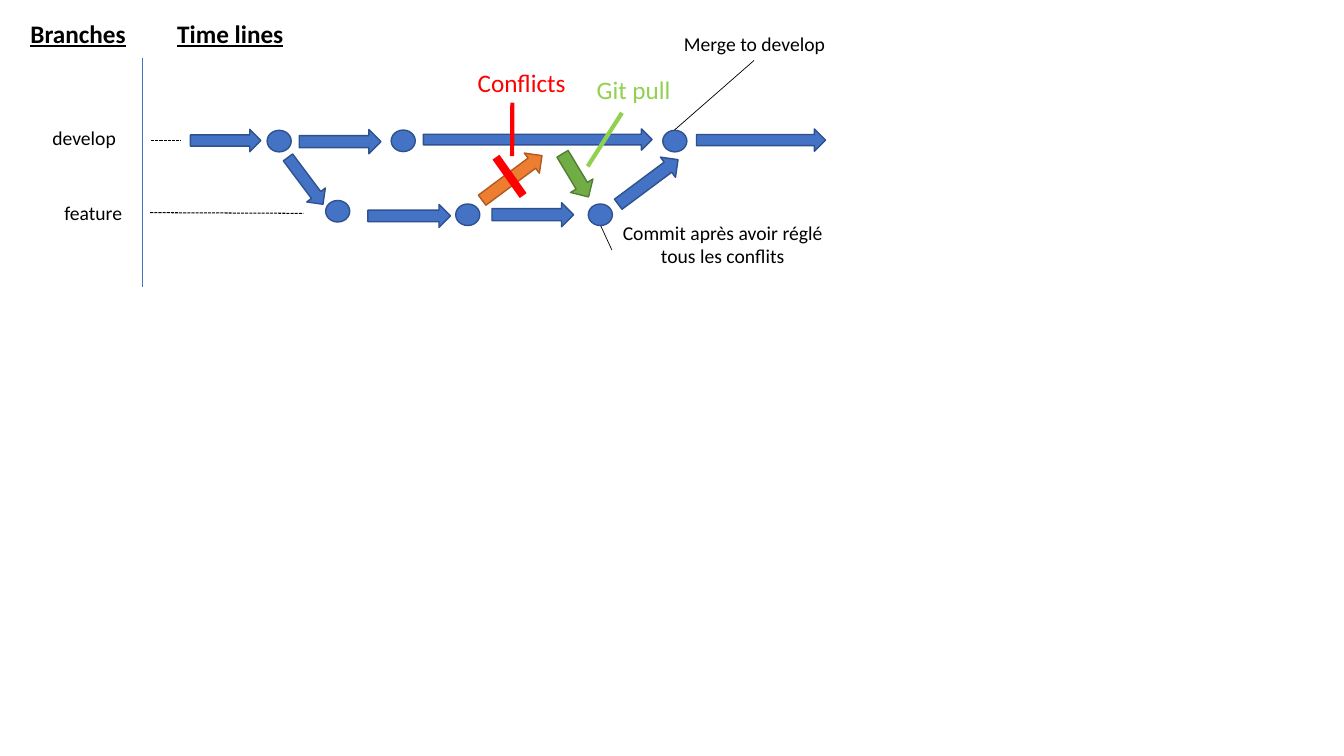
from lxml import etree
from pptx import Presentation
from pptx.dml.color import RGBColor
from pptx.enum.dml import MSO_LINE
from pptx.enum.shapes import MSO_CONNECTOR, MSO_SHAPE
from pptx.enum.text import PP_ALIGN
from pptx.oxml.ns import qn
from pptx.util import Pt

ARROW, OVAL = MSO_SHAPE.RIGHT_ARROW, MSO_SHAPE.OVAL
STRAIGHT = MSO_CONNECTOR.STRAIGHT
DASH = MSO_LINE.SQUARE_DOT
LEFT, CENTER = PP_ALIGN.LEFT, PP_ALIGN.CENTER

BLACK = RGBColor(0x00, 0x00, 0x00)
BLUE = RGBColor(0x44, 0x72, 0xC4)
NAVY = RGBColor(0x2F, 0x52, 0x8F)
ORANGE = RGBColor(0xED, 0x7D, 0x31)
BROWN = RGBColor(0xAE, 0x5A, 0x21)
GREEN = RGBColor(0x70, 0xAD, 0x47)
DARK_GREEN = RGBColor(0x50, 0x7E, 0x32)
RED = RGBColor(0xFF, 0x00, 0x00)
LIME = RGBColor(0x92, 0xD0, 0x50)

FEATURE_LANE = 53.4


def add_text(s, text, x, y, w, h, size=14, color=BLACK, align=CENTER, heading=False):
    tf = s.shapes.add_textbox(Pt(x), Pt(y), Pt(w), Pt(h)).text_frame
    tf.word_wrap = True
    p = tf.paragraphs[0]
    p.text = text
    p.alignment = align
    p.font.name = "Calibri"
    p.font.size = Pt(size)
    p.font.color.rgb = color
    if heading:
        p.font.bold = True
        p.font.underline = True


def add_line(s, x1, y1, x2, y2, color=BLACK, width=0.5, dash=None):
    line = s.shapes.add_connector(STRAIGHT, Pt(x1), Pt(y1), Pt(x2), Pt(y2))
    line.line.color.rgb = color
    line.line.width = Pt(width)
    if dash:
        line.line.dash_style = dash
    etree.SubElement(line._element.spPr, qn("a:effectLst"))


def add_centered(s, kind, cx, cy, w, h, angle=0, fill=BLUE, outline=NAVY):
    sp = s.shapes.add_shape(kind, Pt(cx - w / 2), Pt(cy - h / 2), Pt(w), Pt(h))
    sp.rotation = angle
    sp.shadow.inherit = False
    sp.fill.solid()
    sp.fill.fore_color.rgb = fill
    sp.line.color.rgb = outline
    sp.line.width = Pt(1)


def draw_branches(s, x, y):
    for heading, dx in (("Branches", 0), ("Time lines", 108.7)):
        add_text(s, heading, x + dx, y, 111.6, 28.8, size=18, heading=True)
    for branch, dx, dy in (("develop", 4.3, 77), ("feature", 10.8, 130.3)):
        add_text(s, branch, x + dx, y + dy, 111.6, 24.5)
    add_line(s, x + 101.5, y + 32.4, x + 101.5, y + 195.8, color=BLUE)
    add_line(s, x + 108, y + 90.7, x + 129.6, y + 90.7, width=0.75, dash=DASH)
    add_line(s, x + 107.3, y + 142.5, x + 216.7, y + 143, width=0.75, dash=DASH)


def draw_timelines(s, x, y):
    lane_arrows = (
        (0, 50.4, 0.4, 16),
        (77.8, 58.3, 1.2, 17.3),
        (166.4, 163.4, -0.3, 15.2),
        (361.5, 92.2, 0.1, 16),
        (126.8, 59, FEATURE_LANE + 0.9, 16.5),
        (215.4, 58.3, FEATURE_LANE, 17.3),
    )
    for dx, w, dy, h in lane_arrows:
        add_centered(s, ARROW, x + dx + w / 2, y + dy, w, h)

    diagonal_arrows = (
        (82.2, 29.2, 41.8, 16.6, 53.2, BLUE, NAVY),
        (327, 30, 53.3, 18, 323.3, BLUE, NAVY),
        (229.8, 27.1, 53.3, 18, 323.3, ORANGE, BROWN),
        (275.1, 25.3, 36, 18.7, 59, GREEN, DARK_GREEN),
    )
    for dx, dy, w, h, angle, fill, outline in diagonal_arrows:
        add_centered(s, ARROW, x + dx, y + dy, w, h, angle, fill, outline)

    develop_commits = ((63.4, 0.8), (152, 0.6), (346, 0.8))
    feature_commits = ((105.2, 50.9), (198.1, FEATURE_LANE), (292.8, FEATURE_LANE))
    for dx, dy in develop_commits + feature_commits:
        add_centered(s, OVAL, x + dx, y + dy, 17.2, 15.4)


def draw_notes(s, x, y):
    add_text(s, "Conflicts", x, y + 25.2, 133.2, 28.8, 18, RED, LEFT)
    add_text(s, "Git pull", x + 85, y + 30.2, 133.2, 28.8, 18, LIME, LEFT)
    add_text(s, "Merge to develop", x + 132.5, y, 144.7, 24.5)
    add_text(s, "Commit après avoir réglé tous les conflits", x + 100.8, y + 134.7, 162.7, 41)
    add_line(s, x + 20.2, y + 92.9, x + 39.6, y + 120.3, RED, 6)
    add_line(s, x + 31.9, y + 54, x + 31.7, y + 92.2, RED, 3)
    add_line(s, x + 110.2, y + 61.2, x + 85.7, y + 99.4, LIME, 3)
    add_line(s, x + 204.5, y + 23.8, x + 147.7, y + 73.5)
    add_line(s, x + 103, y + 159.2, x + 95, y + 141.9)


def main():
    prs = Presentation()
    prs.slide_width, prs.slide_height = Pt(960), Pt(540)
    s = prs.slides.add_slide(prs.slide_layouts[6])
    draw_branches(s, 0, 9.4)
    draw_timelines(s, 136, 100)
    draw_notes(s, 334.1, 19.4)
    prs.save("out.pptx")


if __name__ == "__main__":
    main()
